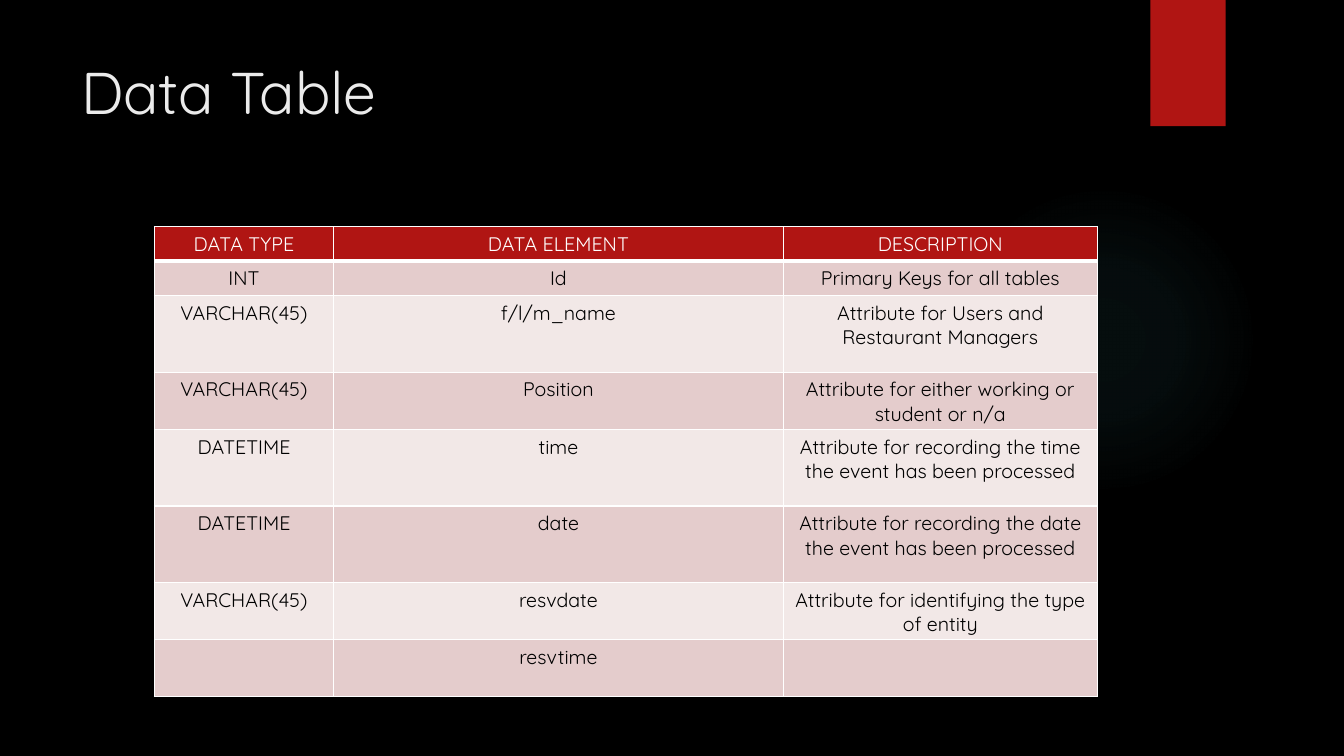
from typing import NamedTuple

from pptx import Presentation
from pptx.dml.color import RGBColor
from pptx.enum.shapes import MSO_SHAPE
from pptx.enum.text import MSO_ANCHOR, PP_ALIGN
from pptx.oxml import parse_xml
from pptx.oxml.ns import nsdecls, qn
from pptx.util import Cm, Pt

OVAL, RECTANGLE = MSO_SHAPE.OVAL, MSO_SHAPE.RECTANGLE
TOP, CENTER = MSO_ANCHOR.TOP, PP_ALIGN.CENTER
FONT = "Quicksand"
COLORS = {
    "background": "000000",
    "glow": "50B9C1",
    "accent": "B01513",
    "title": "EBEBEB",
    "border": "FFFFFF",
    "header_text": "FFFFFF",
    "body_text": "000000",
    "dark_band": "E4CCCC",
    "light_band": "F2E8E7",
}
GLOW_STOPS = [(0, 7), (36, 6), (69, 0)]  # position and opacity, in percent
COLUMN_WIDTHS = [4.52, 11.33, 7.92]


class Entry(NamedTuple):
    """One row of the data table, with its height in centimetres."""
    data_type: str
    element: str
    description: str
    height: float


ENTRIES = [
    Entry("DATA TYPE", "DATA ELEMENT", "DESCRIPTION", 0.87),
    Entry("INT", "Id", "Primary Keys for all tables", 0.87),
    Entry("VARCHAR(45)", "f/l/m_name",
          "Attribute for Users and Restaurant Managers", 1.93),
    Entry("VARCHAR(45)", "Position",
          "Attribute for either working or student or n/a", 1.42),
    Entry("DATETIME", "time",
          "Attribute for recording the time the event has been processed", 1.93),
    Entry("DATETIME", "date",
          "Attribute for recording the date the event has been processed", 1.93),
    Entry("VARCHAR(45)", "resvdate",
          "Attribute for identifying the type of entity", 1.42),
    Entry("", "resvtime", "", 1.42),
]


def rgb(name: str) -> RGBColor:
    """Return a named colour."""
    return RGBColor.from_string(COLORS[name])


def style_text(paragraph, size: int, color: str) -> None:
    """Format every run of a paragraph."""
    for run in paragraph.runs:
        run.font.name = FONT
        run.font.size = Pt(size)
        run.font.color.rgb = rgb(color)


def add_glow(slide) -> None:
    """Draw the faint round glow behind the table."""
    glow = slide.shapes.add_shape(OVAL, Cm(23.9), Cm(4.65), Cm(7.82), Cm(7.82))
    glow.shadow.inherit = False
    glow.line.fill.background()
    glow.fill.background()
    stops = "".join(
        f'<a:gs pos="{position * 1000}"><a:srgbClr val="{COLORS["glow"]}">'
        f'<a:alpha val="{opacity * 1000}"/></a:srgbClr></a:gs>'
        for position, opacity in GLOW_STOPS)
    gradient = parse_xml(
        f'<a:gradFill {nsdecls("a")}><a:gsLst>{stops}</a:gsLst>'
        '<a:path path="circle"><a:fillToRect l="50000" t="50000" '
        'r="50000" b="50000"/></a:path></a:gradFill>')
    properties = glow.element.spPr
    properties.replace(properties.find(qn("a:noFill")), gradient)


def add_ribbon(slide) -> None:
    """Draw the red tab hanging from the top edge."""
    ribbon = slide.shapes.add_shape(RECTANGLE, Cm(28.99), 0, Cm(1.9), Cm(3.18))
    ribbon.shadow.inherit = False
    ribbon.fill.solid()
    ribbon.fill.fore_color.rgb = rgb("accent")
    ribbon.line.fill.background()


def add_title(slide, wording: str) -> None:
    """Write the slide title."""
    title = slide.shapes.add_textbox(Cm(1.8), Cm(1.27), Cm(26.14), Cm(3.89))
    frame = title.text_frame
    frame.word_wrap = True
    frame.vertical_anchor = TOP
    frame.text = wording
    style_text(frame.paragraphs[0], 42, "title")


def add_border(cell, side: str, width: int) -> None:
    """Add one border line; sides go in the order L, R, T, B."""
    cell._tc.get_or_add_tcPr().append(parse_xml(
        f'<a:ln{side} {nsdecls("a")} w="{Pt(width)}"><a:solidFill>'
        f'<a:srgbClr val="{COLORS["border"]}"/></a:solidFill></a:ln{side}>'))


def fill_cell(cell, wording: str, row: int) -> None:
    """Write and style one cell according to its row."""
    is_header = row == 0
    band = "accent" if is_header else ("light_band", "dark_band")[row % 2]
    for side, heavy_row in zip("LRTB", (None, None, 1, 0)):
        add_border(cell, side, 3 if row == heavy_row else 1)
    cell.fill.solid()
    cell.fill.fore_color.rgb = rgb(band)
    cell.text_frame.text = wording
    paragraph = cell.text_frame.paragraphs[0]
    paragraph.alignment = CENTER
    style_text(paragraph, 14, "header_text" if is_header else "body_text")


def add_data_table(slide) -> None:
    """Build the table of data types, elements and descriptions."""
    table = slide.shapes.add_table(
        len(ENTRIES), len(COLUMN_WIDTHS), Cm(3.89), Cm(5.71),
        Cm(sum(COLUMN_WIDTHS)), Cm(sum(entry.height for entry in ENTRIES))).table
    for column, width in zip(table.columns, COLUMN_WIDTHS):
        column.width = Cm(width)
    for row, entry in enumerate(ENTRIES):
        table.rows[row].height = Cm(entry.height)
        for column, wording in enumerate(entry[:3]):
            fill_cell(table.cell(row, column), wording, row)


def main() -> None:
    """Build and save the slide."""
    deck = Presentation()
    deck.slide_width, deck.slide_height = Cm(33.87), Cm(19.05)
    slide = deck.slides.add_slide(deck.slide_layouts[6])
    slide.background.fill.solid()
    slide.background.fill.fore_color.rgb = rgb("background")
    add_glow(slide)
    add_ribbon(slide)
    add_title(slide, "Data Table")
    add_data_table(slide)
    deck.save("out.pptx")


main()
